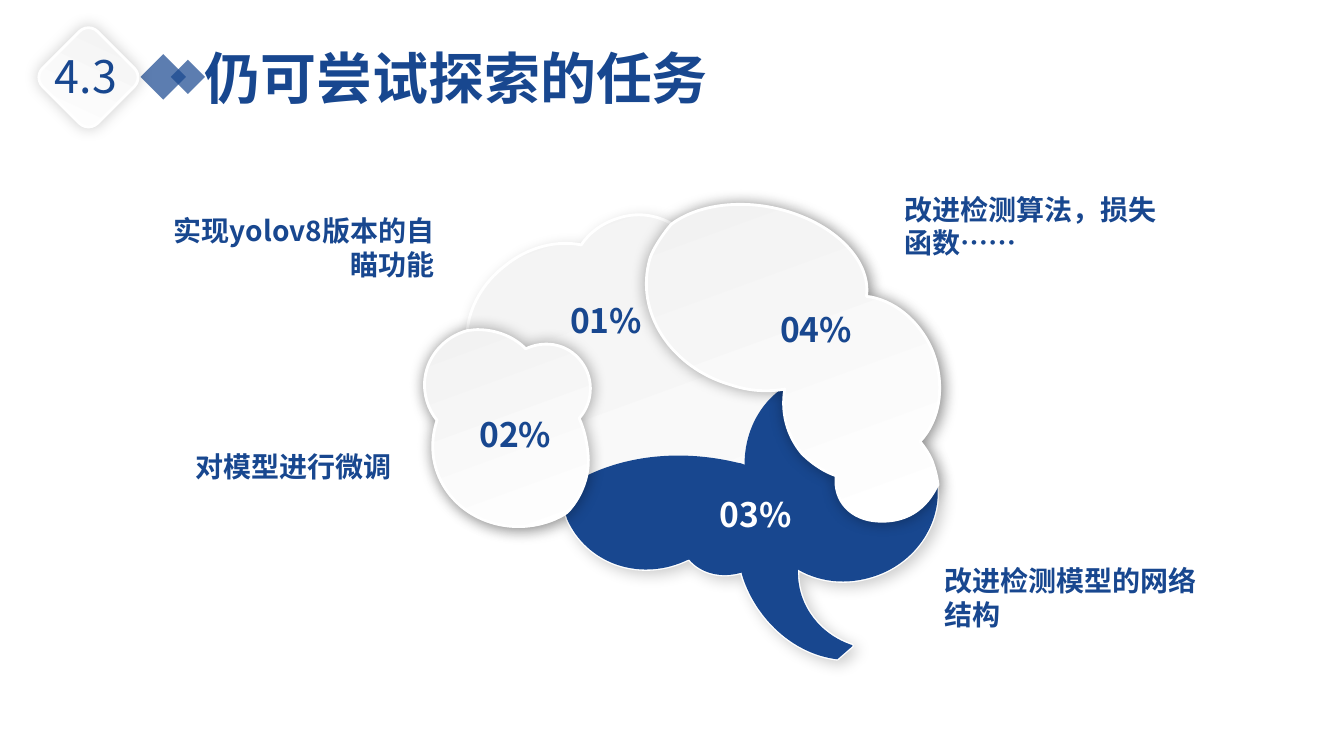
from itertools import chain
from lxml.etree import SubElement
from pptx import Presentation
from pptx.dml.color import RGBColor
from pptx.enum.shapes import MSO_SHAPE
from pptx.enum.text import MSO_ANCHOR, MSO_AUTO_SIZE, PP_ALIGN
from pptx.oxml.ns import qn
from pptx.util import Cm, Pt

BLUE = RGBColor(0x18, 0x47, 0x8F)
WHITE = RGBColor(0xFF, 0xFF, 0xFF)
PALE = RGBColor(0xF2, 0xF2, 0xF2)
CJK = "Noto Sans CJK SC"
DIGITS = "Noto Sans CJK KR"

UNIT = 0.0254
BRAIN_ZERO = (419, 198)

FRONT = [(932, 417, 938, 381, 924, 347), (911, 317, 885, 297, 859, 294),
         (864, 257, 824, 218, 766, 206), (727, 198, 689, 205, 666, 222)]
CROWN = [(650, 213, 631, 210, 611, 217), (596, 222, 584, 231, 576, 243),
         (552, 238, 523, 245, 500, 264), (478, 281, 465, 305, 463, 328)]
BACK = [(441, 334, 424, 352, 421, 375), (419, 391, 424, 406, 433, 417),
        (427, 435, 427, 455, 435, 473), (453, 515, 505, 534, 550, 515)]
STEM = [(553, 513, 557, 512, 560, 509), (561, 512, 562, 514, 562, 515),
        (581, 558, 632, 577, 678, 557), (679, 556, 681, 556, 683, 555),
        (695, 569, 715, 574, 735, 568), (737, 576, 740, 583, 744, 591),
        (763, 627, 796, 650, 830, 654), (845, 641, 845, 641, 845, 641),
        (845, 640, 845, 640, 845, 640), (814, 630, 791, 602, 791, 568),
        (791, 567, 791, 566, 791, 565), (815, 579, 845, 581, 874, 569),
        (919, 550, 942, 500, 923, 457), (921, 450, 916, 444, 912, 438)]
BASE_TOP = [(921, 428, 928, 414, 930, 400), (872, 357, 800, 355, 761, 398),
            (746, 415, 738, 437, 738, 461), (736, 460, 733, 459, 731, 459),
            (644, 438, 560, 465, 523, 522), (532, 521, 541, 519, 550, 515)]
FRONT_INNER = [(666, 221, 648, 243, 644, 257), (629, 310, 665, 365, 725, 382),
               (743, 388, 761, 389, 778, 386), (774, 409, 780, 432, 795, 450),
               (805, 460, 817, 468, 829, 472), (826, 497, 844, 516, 871, 517),
               (917, 519, 928, 481, 930, 481), (929, 473, 927, 465, 924, 457),
               (921, 450, 917, 444, 912, 438)]
BACK_INNER = [(554, 513, 557, 512, 561, 509), (561, 510, 585, 487, 583, 453),
              (582, 439, 579, 426, 574, 415), (589, 398, 589, 372, 573, 355),
              (559, 340, 538, 338, 521, 346), (509, 334, 492, 327, 473, 327),
              (470, 327, 463, 328, 463, 328)]

LOBES = [((912, 438), FRONT + CROWN + BACK + STEM, {"dist": 4, "alpha": 20}),
         ((912, 438), BASE_TOP + STEM, None),
         ((912, 438), FRONT + FRONT_INNER, {"alpha": 35}),
         ((463, 328), BACK + BACK_INNER, {"alpha": 35})]
PERCENTS = [("03%", 7.14, 7.29, WHITE), ("01%", 3.37, 2.41, BLUE),
            ("02%", 1.08, 5.28, BLUE), ("04%", 8.66, 2.62, BLUE)]
LABELS = [("实现yolov8版本的自瞄功能", (4.11, 5.26, 7.09, 1.96), PP_ALIGN.RIGHT),
          ("对模型进行微调", (3.03, 11.2, 7.09, 1.12), PP_ALIGN.RIGHT),
          ("改进检测算法，损失函数……", (22.54, 4.72, 7.09, 1.96), PP_ALIGN.LEFT),
          ("改进检测模型的网络结构", (23.55, 14.08, 7.09, 1.96), PP_ALIGN.LEFT)]


def write(sp, text, size, color=BLUE, bold=True, name=CJK,
          align=PP_ALIGN.LEFT, wrap=True):
    """Fill a text shape with one formatted paragraph."""
    tf = sp.text_frame
    frame = {"word_wrap": wrap, "auto_size": MSO_AUTO_SIZE.NONE,
             "vertical_anchor": MSO_ANCHOR.TOP}
    for key, value in frame.items():
        setattr(tf, key, value)
    p = tf.paragraphs[0]
    p.alignment = align
    p.line_spacing = Pt(1.2 * size)
    r = p.add_run()
    r.text = text
    font = {"size": Pt(size), "bold": bold, "name": name}
    for key, value in font.items():
        setattr(r.font, key, value)
    r.font.color.rgb = color
    SubElement(r.font._element, qn("a:ea"), typeface=CJK)


def add_text(s, box, text, size, **fmt):
    """Add a text box at a box given in centimetres."""
    write(s.shapes.add_textbox(*map(Cm, box)), text, size, **fmt)


def fill_blue(sp, alpha=None):
    """Give a shape a flat blue fill, with optional opacity in percent."""
    sp.shadow.inherit = False
    sp.fill.solid()
    sp.fill.fore_color.rgb = BLUE
    sp.line.fill.background()
    if alpha:
        color = sp._element.spPr.find(".//" + qn("a:srgbClr"))
        SubElement(color, qn("a:alpha"), val=str(alpha * 1000))


def fill_paper(sp, dist=0, alpha=20):
    """Give a shape a pale gradient, a white edge and a soft shadow."""
    sp.shadow.inherit = False
    sp.fill.gradient()
    sp.fill.gradient_angle = 110
    for stop, color, position in zip(sp.fill.gradient_stops, (WHITE, PALE), (0, 1)):
        stop.color.rgb = color
        stop.position = position
    sp.line.color.rgb = WHITE
    sp.line.width = Pt(2)
    effects = sp._element.spPr.find(qn("a:effectLst"))
    shadow = SubElement(effects, qn("a:outerShdw"), blurRad=str(Pt(11)),
                        dist=str(Pt(dist)), dir="2700000", algn="ctr",
                        rotWithShape="0")
    color = SubElement(shadow, qn("a:srgbClr"), val="000000")
    SubElement(color, qn("a:alpha"), val=str(alpha * 1000))


def add_outline(s, origin, start, curves):
    """Add a closed freeform made of cubic curves."""
    fb = s.shapes.build_freeform(*start, scale=Cm(UNIT))
    values = list(chain.from_iterable(curves))
    fb.add_line_segments(list(zip(values[::2], values[1::2])), close=True)
    sp = fb.convert_to_shape(*origin)
    lines = list(sp._element.spPr.iter(qn("a:lnTo")))
    for group in zip(lines[::3], lines[1::3], lines[2::3]):
        group[0].tag = qn("a:cubicBezTo")
        for line in group[1:]:
            group[0].append(line[0])
            line.getparent().remove(line)
    return sp


def add_brain(s, left, top):
    """Draw the lobes and their percentages from the given corner."""
    origin = [Cm(edge - zero * UNIT) for edge, zero in zip((left, top), BRAIN_ZERO)]
    for start, curves, shadow in LOBES:
        sp = add_outline(s, origin, start, curves)
        if shadow:
            fill_paper(sp, **shadow)
        else:
            fill_blue(sp)
    for text, x, y, color in PERCENTS:
        add_text(s, (left + x, top + y, 2.49, 1.27), text, 24, color=color,
                 name=DIGITS, align=PP_ALIGN.CENTER)


def add_header(s, left, top):
    """Place the numbered badge, the diamonds and the title."""
    for x, y, side in ((2.59, 0.56, 0.81), (3.31, 0.66, 0.61)):
        sp = s.shapes.add_shape(MSO_SHAPE.RECTANGLE, Cm(left + x), Cm(top + y),
                                Cm(side), Cm(side))
        sp.rotation = 225
        fill_blue(sp, 70)
    badge = s.shapes.add_shape(MSO_SHAPE.ROUNDED_RECTANGLE, Cm(left + 0.13),
                               Cm(top), Cm(1.96), Cm(1.96))
    badge.rotation = 45
    fill_paper(badge)
    add_text(s, (left + 0.01, top + 0.13, 2.13, 1.63), "4.3", 32, bold=False,
             wrap=False)
    title = s.shapes.title
    place = {"left": left + 3.78, "top": top, "width": 15.06, "height": 1.96}
    for key, value in place.items():
        setattr(title, key, Cm(value))
    write(title, "仍可尝试探索的任务", 40, name="Open Sans")


def main():
    """Build the slide and save it."""
    prs = Presentation()
    prs.slide_width, prs.slide_height = Cm(33.87), Cm(19.05)
    s = prs.slides.add_slide(prs.slide_layouts[5])
    add_brain(s, 10.66, 5.03)
    add_header(s, 1.12, 0.97)
    for text, box, align in LABELS:
        add_text(s, box, text, 20, align=align)
    prs.save("out.pptx")


if __name__ == "__main__":
    main()
